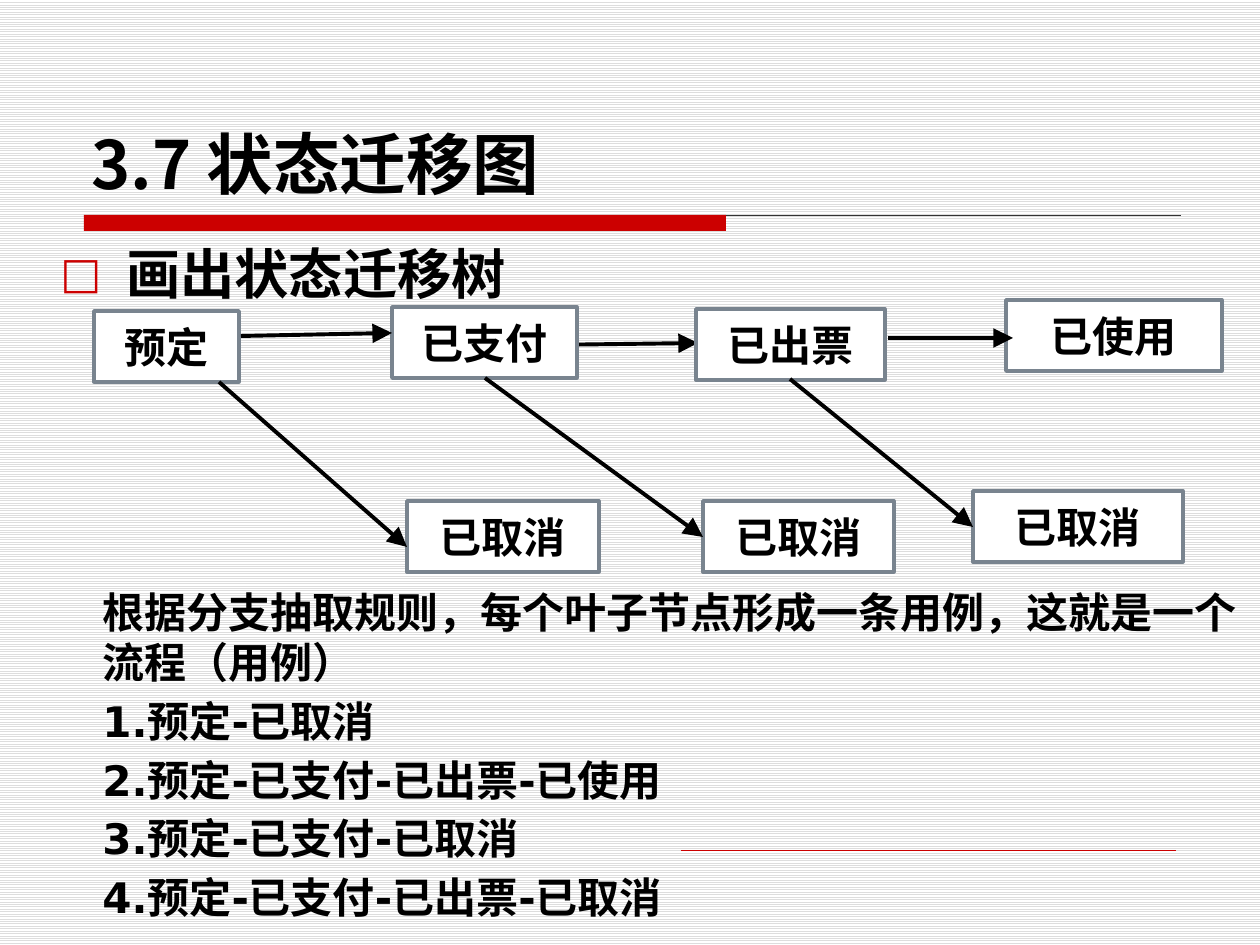
from lxml import etree
from pptx import Presentation
from pptx import util as u
from pptx.dml.color import RGBColor
from pptx.enum import dml, shapes, text
from pptx.oxml.ns import qn

PX = 914400 // 126
BLACK, RED, WHITE, GREY = "000000", "CC0000", "FFFFFF", "79848F"
BODY_FONT, TITLE_FONT = "DejaVu Sans", "Noto Sans CJK SC"

# label, left, top, width
STATES = [
    ("预定", 94, 311, 145),
    ("已支付", 392, 307, 185),
    ("已出票", 696, 309, 189),
    ("已使用", 1006, 300, 216),
    ("已取消", 407, 501, 192),
    ("已取消", 703, 501, 191),
    ("已取消", 973, 491, 210),
]
STATE_HEIGHT = 71

# start x, start y, end x, end y
ARROWS = [
    (241, 336, 392, 333),
    (547, 345, 698, 343),
    (888, 338, 1013, 338),
    (219, 382, 407, 547),
    (485, 378, 703, 537),
    (790, 379, 973, 527),
]

CASES = [
    "根据分支抽取规则，每个叶子节点形成一条用例，这就是一个流程（用例）",
    "1.预定-已取消",
    "2.预定-已支付-已出票-已使用",
    "3.预定-已支付-已取消",
    "4.预定-已支付-已出票-已取消",
]


def px(*lengths):
    return [length * PX for length in lengths]


def color(value):
    return RGBColor.from_string(value)


def set_indent(para, left, first=0):
    props = para._p.get_or_add_pPr()
    props.set("marL", str(left * PX))
    props.set("indent", str(first * PX))


def add_bullet(para, char, fill):
    props = para._p.get_or_add_pPr()
    bullet_color = etree.SubElement(props, qn("a:buClr"))
    etree.SubElement(bullet_color, qn("a:srgbClr"), val=fill)
    etree.SubElement(props, qn("a:buSzPct"), val="80000")
    etree.SubElement(props, qn("a:buFont"), typeface=BODY_FONT)
    etree.SubElement(props, qn("a:buChar"), char=char)


def add_span(para, words, size, font=BODY_FONT):
    span = para.add_run()
    span.text = words
    values = {"name": font, "size": u.Pt(size), "bold": True}
    for name, value in values.items():
        setattr(span.font, name, value)
    span.font.color.rgb = color(BLACK)
    etree.SubElement(span._r.get_or_add_rPr(), qn("a:ea"), typeface=font)


def add_text_box(page, left, top, width, height, anchor):
    frame = page.shapes.add_textbox(*px(left, top, width, height)).text_frame
    frame.word_wrap = True
    frame.vertical_anchor = anchor
    return frame


def add_rect(page, left, top, width, height, fill):
    box = page.shapes.add_shape(
        shapes.MSO_SHAPE.RECTANGLE, *px(left, top, width, height))
    box.shadow.inherit = False
    box.fill.solid()
    box.fill.fore_color.rgb = color(fill)
    box.line.fill.background()
    return box


def add_state(page, label, left, top, width):
    box = add_rect(page, left, top, width, STATE_HEIGHT, WHITE)
    box.line.color.rgb = color(GREY)
    box.line.width = u.Pt(2)
    box.text_frame.vertical_anchor = text.MSO_ANCHOR.MIDDLE
    para = box.text_frame.paragraphs[0]
    para.alignment = text.PP_ALIGN.CENTER
    add_span(para, label, 24)


def add_line(page, ends, stroke, weight, arrow=False):
    line = page.shapes.add_connector(shapes.MSO_CONNECTOR.STRAIGHT, *px(*ends))
    line.line.color.rgb = color(stroke)
    line.line.width = u.Pt(weight)
    if arrow:
        etree.SubElement(line.line._get_or_add_ln(), qn("a:tailEnd"),
                         type="triangle", w="lg", len="lg")
    etree.SubElement(line._element.spPr, qn("a:effectLst"))


def set_background(page):
    fill = page.background.fill
    fill.patterned()
    fill.pattern = dml.MSO_PATTERN.LIGHT_HORIZONTAL
    fill.fore_color.rgb = color("DDDDDD")
    fill.back_color.rgb = color(WHITE)


def add_rules(page):
    add_line(page, (84, 215, 1181, 215), "333333", 0.25)
    add_rect(page, 84, 215, 642, 16, RED)
    # The lower rule starts to the right of the third case
    add_line(page, (681, 850, 1176, 850), RED, 0.25)


def add_headings(page):
    heading = add_text_box(page, 48, 208, 1086, 104, text.MSO_ANCHOR.BOTTOM)
    para = heading.paragraphs[0]
    add_bullet(para, "□", RED)
    set_indent(para, 66, -66)
    add_span(para, "画出状态迁移树", 31)

    title = add_text_box(page, 79, 42, 1103, 167, text.MSO_ANCHOR.BOTTOM)
    add_span(title.paragraphs[0], "3.7 状态迁移图", 38, TITLE_FONT)


def add_cases(page):
    frame = add_text_box(page, 25, 580, 1225, 359, text.MSO_ANCHOR.TOP)
    frame.auto_size = text.MSO_AUTO_SIZE.SHAPE_TO_FIT_TEXT
    for index, case in enumerate(CASES):
        para = frame.add_paragraph() if index else frame.paragraphs[0]
        set_indent(para, 65)
        if index:
            para.space_before = u.Pt(4.8)
        add_span(para, case, 24)


def main():
    deck = Presentation()
    deck.slide_width, deck.slide_height = u.Inches(10), u.Inches(7.5)
    page = deck.slides.add_slide(deck.slide_layouts[6])
    set_background(page)
    add_rules(page)
    add_headings(page)
    # Boxes cover the start of the arrow that leaves the second state
    add_line(page, ARROWS[1], BLACK, 2.25, arrow=True)
    for state in STATES:
        add_state(page, *state)
    for ends in ARROWS[:1] + ARROWS[2:]:
        add_line(page, ends, BLACK, 2.25, arrow=True)
    add_cases(page)
    deck.save("out.pptx")


if __name__ == "__main__":
    main()
